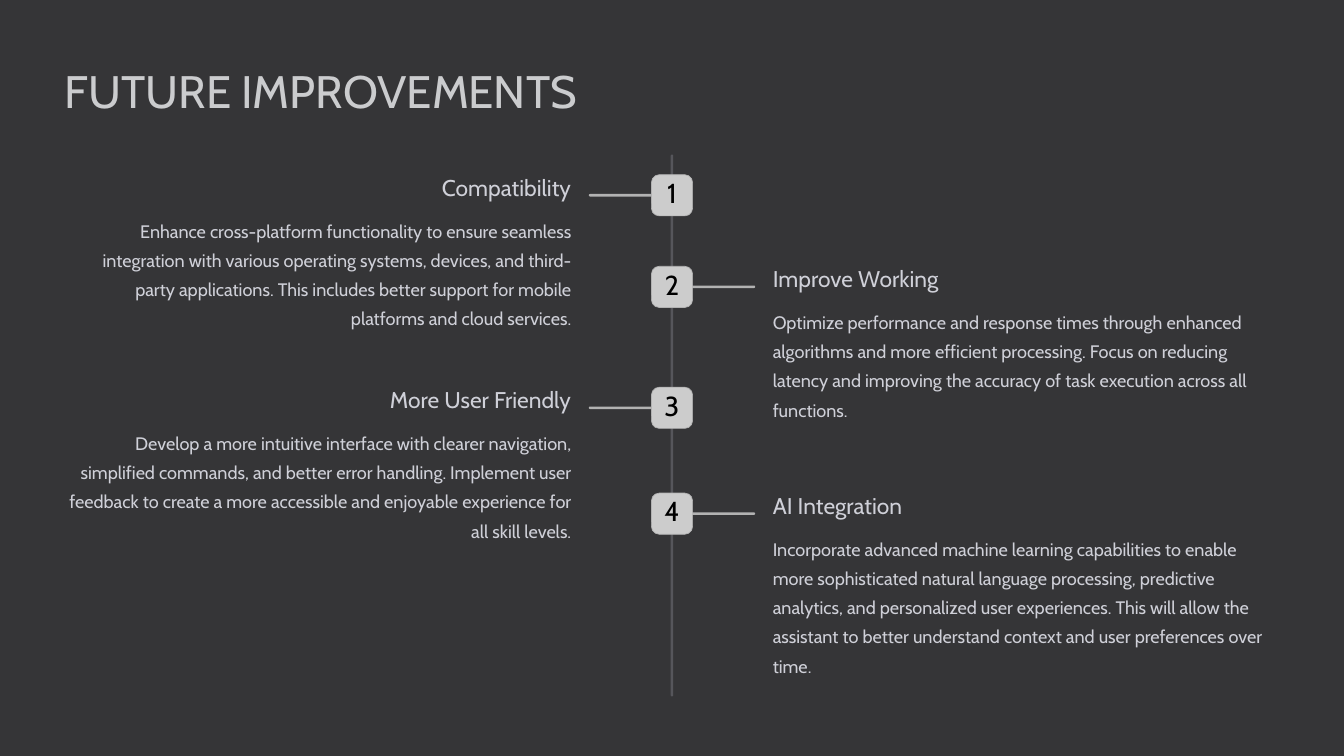
from pptx import Presentation
from pptx.dml.color import RGBColor
from pptx.enum.shapes import MSO_SHAPE
from pptx.enum.text import MSO_ANCHOR, MSO_AUTO_SIZE, PP_ALIGN
from pptx.util import Inches, Pt

ROUND = MSO_SHAPE.ROUNDED_RECTANGLE
TOP, MIDDLE = MSO_ANCHOR.TOP, MSO_ANCHOR.MIDDLE
LEFT, CENTER, RIGHT = PP_ALIGN.LEFT, PP_ALIGN.CENTER, PP_ALIGN.RIGHT
NO_FIT = MSO_AUTO_SIZE.NONE

DARK = RGBColor(0x35, 0x35, 0x37)
SPINE = RGBColor(0x56, 0x56, 0x5B)
STEM = RGBColor(0xB2, 0xB2, 0xB2)
BADGE = RGBColor(0xCC, 0xCC, 0xCC)
TITLE = RGBColor(0xCB, 0xCC, 0xCE)
PALE = RGBColor(0xCF, 0xD0, 0xD8)
BLACK = RGBColor(0, 0, 0)

FONT = "Cabin"
MID = 8
SIDE = 0.49
THIN = 0.03
STEM_W = 0.77
HEAD_W = 2.73
BODY_W = 6.03
LINE_H = 0.35

STEPS = [
    (2.08, 4, "Compatibility",
     "Enhance cross-platform functionality to ensure seamless integration "
     "with various operating systems, devices, and third-party applications. "
     "This includes better support for mobile platforms and cloud services."),
    (3.17, 4, "Improve Working",
     "Optimize performance and response times through enhanced algorithms "
     "and more efficient processing. Focus on reducing latency and improving "
     "the accuracy of task execution across all functions."),
    (4.61, 4, "More User Friendly",
     "Develop a more intuitive interface with clearer navigation, simplified "
     "commands, and better error handling. Implement user feedback to create "
     "a more accessible and enjoyable experience for all skill levels."),
    (5.87, 5, "AI Integration",
     "Incorporate advanced machine learning capabilities to enable more "
     "sophisticated natural language processing, predictive analytics, and "
     "personalized user experiences. This will allow the assistant to better "
     "understand context and user preferences over time."),
]


def apply(obj, values):
    """Set each attribute of obj from a dict."""
    for name, value in values.items():
        setattr(obj, name, value)


def write(shape, text, size, pitch, color, align, anchor=TOP, wrap=True):
    """Put one formatted paragraph into a shape."""
    frame = shape.text_frame
    apply(frame, dict(text=text, margin_left=0, margin_right=0, margin_top=0,
                      margin_bottom=0, word_wrap=wrap, auto_size=NO_FIT,
                      vertical_anchor=anchor))
    para = frame.paragraphs[0]
    apply(para, dict(alignment=align, line_spacing=Pt(pitch),
                     space_before=Pt(0)))
    font = para.runs[0].font
    apply(font, dict(name=FONT, size=Pt(size)))
    font.color.rgb = color


def add_box(slide, left, top, width, height):
    """Add an empty text box."""
    return slide.shapes.add_textbox(
        Inches(left), Inches(top), Inches(width), Inches(height))


def add_bar(slide, left, top, width, height, color, curve=0.5):
    """Add a rounded filled shape without an outline."""
    bar = slide.shapes.add_shape(
        ROUND, Inches(left), Inches(top), Inches(width), Inches(height))
    bar.adjustments[0] = curve
    bar.shadow.inherit = False
    bar.fill.solid()
    bar.fill.fore_color.rgb = color
    bar.line.fill.background()
    return bar


def add_badge(slide, num, top):
    """Add a numbered square on the spine."""
    badge = add_bar(slide, MID - SIDE / 2, top, SIDE, SIDE, BADGE, 0.19)
    badge.line.color.rgb = STEM
    badge.line.width = Pt(0.6)
    write(badge, str(num), 23.5, 23.5, BLACK, CENTER, MIDDLE, False)


def add_step(slide, num, top, lines, head, body):
    """Add one step: odd ones left of the spine, even ones right."""
    if num % 2:
        align, stem = RIGHT, 7.01
        head_x, body_x = 6.8 - HEAD_W, 6.8 - BODY_W
    else:
        align, stem = LEFT, 8.22
        head_x = body_x = 9.2
    add_bar(slide, stem, top + 0.23, STEM_W, THIN, STEM)
    add_badge(slide, num, top)
    write(add_box(slide, head_x, top - 0.03, HEAD_W, 0.34),
          head, 19.5, 24.5, PALE, align)
    write(add_box(slide, body_x, top + 0.45, BODY_W, lines * LINE_H),
          body, 15.5, 25, PALE, align)


def add_title(slide, text):
    """Place and format the title."""
    title = slide.shapes.title
    apply(title, dict(left=Inches(0.77), top=Inches(0.72),
                      width=Inches(6.68), height=Inches(0.68)))
    write(title, text, 39, 49, TITLE, LEFT, wrap=False)


def main():
    """Build and save the slide."""
    deck = Presentation()
    apply(deck, dict(slide_width=Inches(16), slide_height=Inches(9)))
    slide = deck.slides.add_slide(deck.slide_layouts[5])
    back = slide.background.fill
    back.solid()
    back.fore_color.rgb = DARK
    add_title(slide, "FUTURE IMPROVEMENTS")
    add_bar(slide, MID - THIN / 2, 1.84, THIN, 6.45, SPINE)
    for num, step in enumerate(STEPS, 1):
        add_step(slide, num, *step)
    deck.save("out.pptx")


if __name__ == "__main__":
    main()
